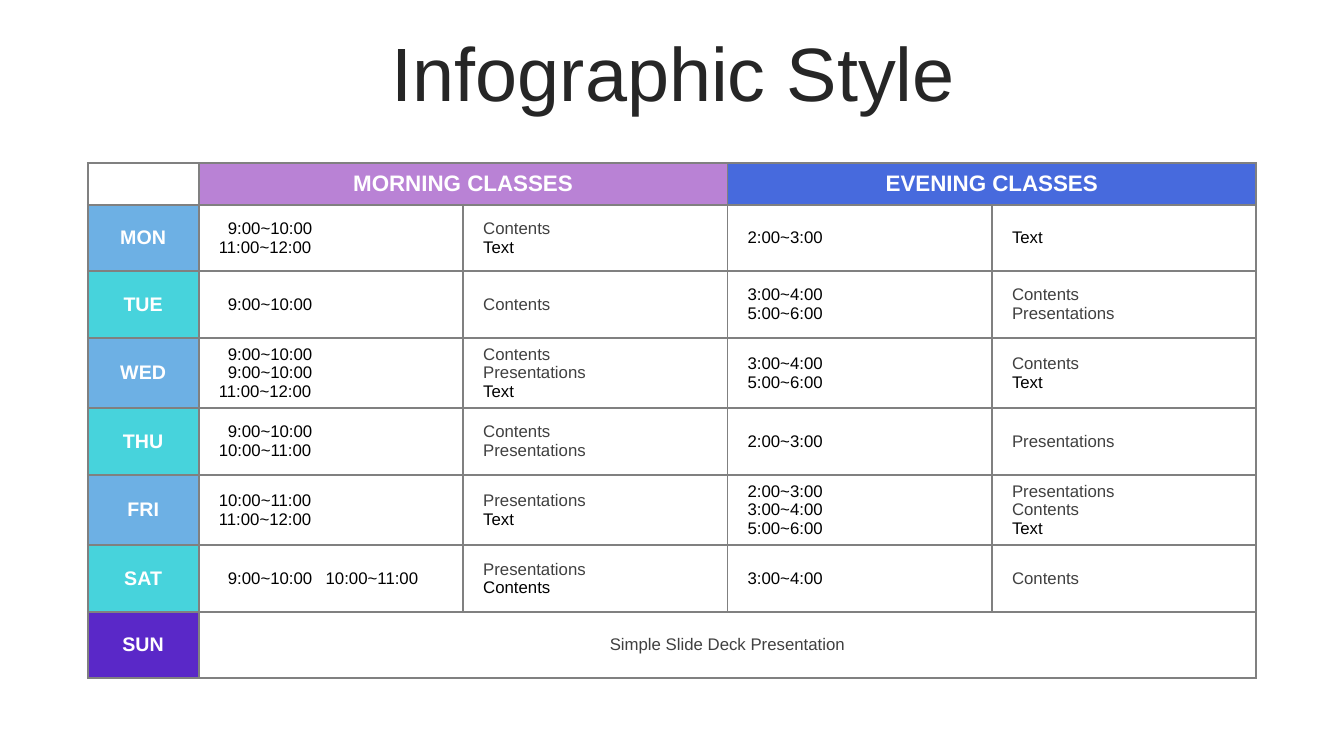
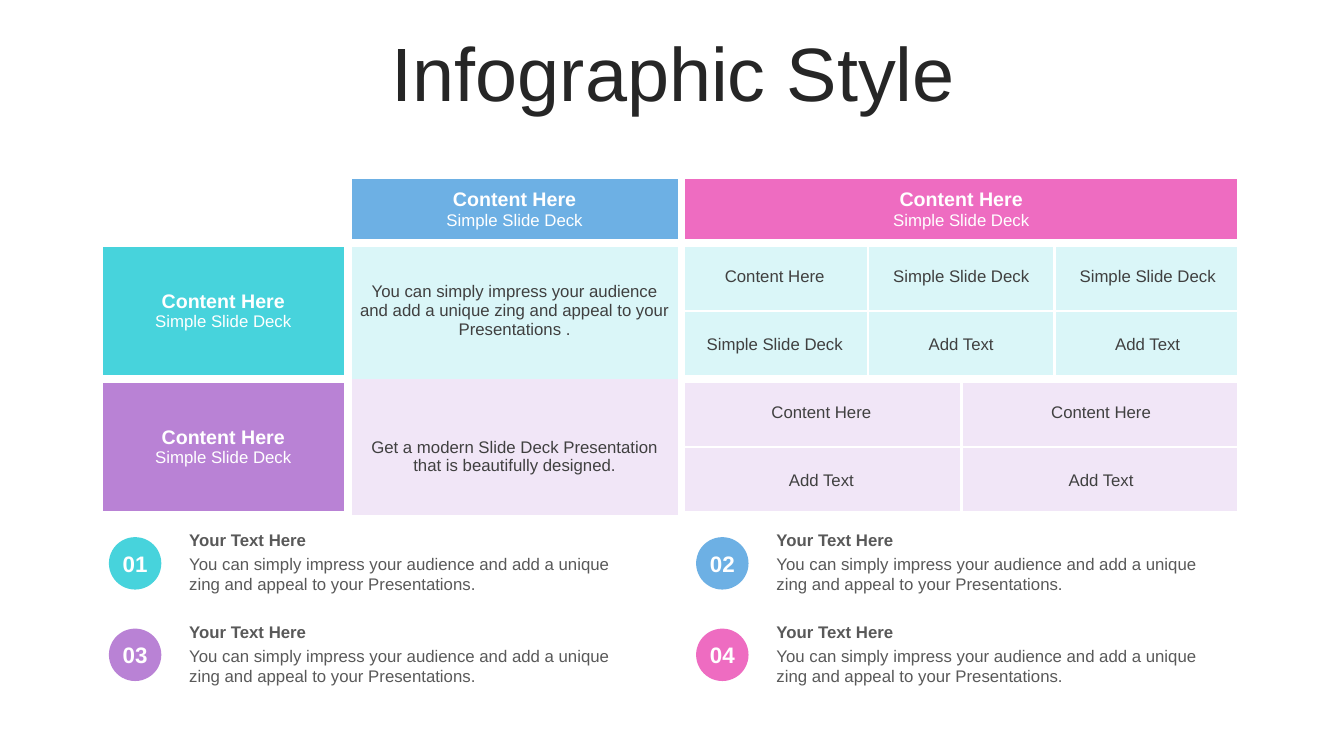
from dataclasses import dataclass
from itertools import product

from lxml import etree
from pptx import Presentation
from pptx.dml.color import RGBColor
from pptx.enum import shapes, text
from pptx.oxml import ns
from pptx import util as u

WHITE = RGBColor(0xFF, 0xFF, 0xFF)
BLACK = RGBColor(0x00, 0x00, 0x00)
INK = RGBColor(0x26, 0x26, 0x26)
DARK = RGBColor(0x40, 0x40, 0x40)
SLATE = RGBColor(0x59, 0x59, 0x59)
RULE = RGBColor(0x80, 0x80, 0x80)
SKY = RGBColor(0x6D, 0xB0, 0xE4)
TEAL = RGBColor(0x47, 0xD3, 0xDC)
LILAC = RGBColor(0xB9, 0x82, 0xD5)
PINK = RGBColor(0xEE, 0x6C, 0xC1)
BLUE = RGBColor(0x47, 0x6A, 0xDD)
VIOLET = RGBColor(0x5A, 0x28, 0xC8)
PALE_TEAL = RGBColor(0xDA, 0xF6, 0xF8)
PALE_LILAC = RGBColor(0xF1, 0xE6, 0xF7)

LEFT, CENTER = text.PP_ALIGN.LEFT, text.PP_ALIGN.CENTER
MIDDLE, TOP = text.MSO_ANCHOR.MIDDLE, text.MSO_ANCHOR.TOP
TAB_STOPS = (0.09, 1.06)
THICK, THIN = 6, 2.25


def style(size, color, bold=False):
    return {"name": "Arial", "size": u.Pt(size), "bold": bold, "color": color}


TITLE = style(54, INK)
BAND = style(16, WHITE, True)
LABEL = style(14, WHITE, True)
SUBLABEL = style(12, WHITE)
PLAIN = style(12, BLACK)
TOPIC = style(12, DARK)
CARD_HEAD = style(12, SLATE, True)
CARD_BODY = style(12, SLATE)


@dataclass
class Box:
    left: float
    top: float
    width: float
    height: float

    def portion(self, x, y, width, height):
        return Box(self.left + x * self.width, self.top + y * self.height,
                   width * self.width, height * self.height)

    def emu(self):
        return [u.Inches(v) for v in (self.left, self.top, self.width, self.height)]


def add_tab_stops(para):
    stops = etree.SubElement(para._p.get_or_add_pPr(), ns.qn("a:tabLst"))
    for position in TAB_STOPS:
        etree.SubElement(stops, ns.qn("a:tab"), pos=str(u.Inches(position)), algn="l")


def write_lines(frame, lines, align=LEFT):
    for index, (words, look) in enumerate(lines):
        para = frame.paragraphs[0] if index == 0 else frame.add_paragraph()
        para.alignment = align
        if "\t" in words:
            add_tab_stops(para)
        span = para.add_run()
        span.text = words
        for name, value in look.items():
            if name == "color":
                span.font.color.rgb = value
            else:
                setattr(span.font, name, value)


def add_text(page, box, lines, align=LEFT, anchor=TOP):
    frame = page.shapes.add_textbox(*box.emu()).text_frame
    frame.word_wrap = True
    frame.vertical_anchor = anchor
    write_lines(frame, lines, align)
    return frame


def add_title(page, words):
    frame = add_text(page, Box(0.35, 0.37, 12.66, 0.79), [(words, TITLE)], CENTER, MIDDLE)
    frame.paragraphs[0].line_spacing = 0.9


def add_grid(page, box, columns, rows):
    table = page.shapes.add_table(len(rows), len(columns), *box.emu()).table
    table.first_row = table.horz_banding = False
    for column, width in zip(table.columns, columns):
        column.width = u.Inches(width)
    for row, height in zip(table.rows, rows):
        row.height = u.Inches(height)
    return table


def set_borders(cell, color, widths):
    properties = cell._tc.get_or_add_tcPr()
    for index, (side, width) in enumerate(zip("LRTB", widths)):
        line = etree.Element(ns.qn("a:ln" + side), w=str(u.Pt(width)))
        if width:
            fill = etree.SubElement(line, ns.qn("a:solidFill"))
            etree.SubElement(fill, ns.qn("a:srgbClr"), val=str(color))
        else:
            etree.SubElement(line, ns.qn("a:noFill"))
        properties.insert(index, line)


def fill_cell(table, row, column, lines, fill=None, span=(1, 1), align=CENTER,
              margins=(0.1, 0.05), border=(RULE, (1.5,) * 4)):
    cell = table.cell(row, column)
    last_row, last_column = row + span[0] - 1, column + span[1] - 1
    if span != (1, 1):
        cell.merge(table.cell(last_row, last_column))
    for r, c in product(range(row, last_row + 1), range(column, last_column + 1)):
        member = table.cell(r, c)
        if fill is None:
            member.fill.background()
        else:
            member.fill.solid()
            member.fill.fore_color.rgb = fill
        set_borders(member, *border)
    cell.vertical_anchor = MIDDLE
    cell.margin_left = cell.margin_right = u.Inches(margins[0])
    cell.margin_top = cell.margin_bottom = u.Inches(margins[1])
    write_lines(cell.text_frame, lines, align)
    return cell


def times(*hours):
    return [(hour, PLAIN) for hour in hours]


def topics(*names, closing=None):
    return [(name, TOPIC) for name in names] + ([(closing, PLAIN)] if closing else [])


WEEK = {
    "MON": (times("\t9:00~10:00", "11:00~12:00"), topics("Contents", closing="Text"),
            times("2:00~3:00"), topics(closing="Text")),
    "TUE": (times("\t9:00~10:00"), topics("Contents"),
            times("3:00~4:00", "5:00~6:00"), topics("Contents", "Presentations")),
    "WED": (times("\t9:00~10:00", "\t9:00~10:00", "11:00~12:00"),
            topics("Contents", "Presentations", closing="Text"),
            times("3:00~4:00", "5:00~6:00"), topics("Contents", closing="Text")),
    "THU": (times("\t9:00~10:00", "10:00~11:00"), topics("Contents", "Presentations"),
            times("2:00~3:00"), topics("Presentations")),
    "FRI": (times("10:00~11:00", "11:00~12:00"), topics("Presentations", closing="Text"),
            times("2:00~3:00", "3:00~4:00", "5:00~6:00"),
            topics("Presentations", "Contents", closing="Text")),
    "SAT": (times("\t9:00~10:00\t10:00~11:00"), topics("Presentations", closing="Contents"),
            times("3:00~4:00"), topics("Contents")),
}


def add_timetable(page, box):
    day_width, head_height = 1.1, 0.41
    columns = [day_width] + [(box.width - day_width) / 4] * 4
    rows = [head_height] + [(box.height - head_height) / 7] * 7
    table = add_grid(page, box, columns, rows)
    fill_cell(table, 0, 0, [])
    fill_cell(table, 0, 1, [("MORNING CLASSES", BAND)], LILAC, (1, 2))
    fill_cell(table, 0, 3, [("EVENING CLASSES", BAND)], BLUE, (1, 2))
    for row, (day, entries) in enumerate(WEEK.items(), 1):
        fill_cell(table, row, 0, [(day, LABEL)], SKY if row % 2 else TEAL, margins=(0, 0))
        for column, lines in enumerate(entries, 1):
            fill_cell(table, row, column, lines, align=LEFT, margins=(0.2, 0.05))
    fill_cell(table, 7, 0, [("SUN", LABEL)], VIOLET)
    fill_cell(table, 7, 1, topics("Simple Slide Deck Presentation"), span=(1, 4))


CONTENT, SIMPLE, ADD = "Content Here", "Simple Slide Deck", "Add Text"
HEADING = [(CONTENT, LABEL), (SIMPLE, SUBLABEL)]
DETAILS = (
    (1, (2, 3, 5), PALE_TEAL, (CONTENT, SIMPLE, SIMPLE)),
    (2, (2, 3, 5), PALE_TEAL, (SIMPLE, ADD, ADD)),
    (3, (2, 4), PALE_LILAC, (CONTENT, CONTENT)),
    (4, (2, 4), PALE_LILAC, (ADD, ADD)),
)


def add_matrix(page, box):
    label_width, summary_width, head_height = 2.47, 3.31, 0.67
    unit = (box.width - label_width - summary_width) / 6
    columns = [label_width, summary_width, 2 * unit, unit, unit, 2 * unit]
    rows = [head_height] + [(box.height - head_height) / 4] * 4
    table = add_grid(page, box, columns, rows)
    frame = (WHITE, (THICK,) * 4)
    fill_cell(table, 0, 0, [], border=frame)
    for row, column, fill, span in ((0, 1, SKY, (1, 1)), (0, 2, PINK, (1, 4)),
                                    (1, 0, TEAL, (2, 1)), (3, 0, LILAC, (2, 1))):
        fill_cell(table, row, column, HEADING, fill, span, border=frame)
    fill_cell(table, 1, 1, topics("You can simply impress your audience and add a unique "
                                  "zing and appeal to your Presentations ."),
              PALE_TEAL, (2, 1), border=(WHITE, (THICK, THICK, THICK, 0)))
    design = fill_cell(table, 3, 1, topics("Get a modern Slide Deck Presentation that is "
                                           "beautifully designed."),
                       PALE_LILAC, (2, 1), border=(WHITE, (THICK, THICK, 0, 0)))
    design.margin_top = u.Inches(0.24)
    for row, starts, fill, words in DETAILS:
        for column, end, word in zip(starts, starts[1:] + (6,), words):
            edges = (column == 2, end == 6, row % 2 == 1, row % 2 == 0)
            widths = [THICK if edge else THIN for edge in edges]
            fill_cell(table, row, column, topics(word), fill, (1, end - column),
                      border=(WHITE, widths))


def add_card(page, box, number, color):
    diameter = 0.52
    circle = page.shapes.add_shape(
        shapes.MSO_SHAPE.OVAL,
        *Box(box.left, box.top + 0.16 * box.height, diameter, diameter).emu())
    circle.shadow.inherit = False
    circle.fill.solid()
    circle.fill.fore_color.rgb = color
    circle.line.fill.background()
    frame = circle.text_frame
    for name in ("margin_left", "margin_right", "margin_top", "margin_bottom"):
        setattr(frame, name, 0)
    frame.vertical_anchor = MIDDLE
    write_lines(frame, [(f"{number:02}", BAND)], CENTER)
    add_text(page, box.portion(0.13, 0, 0.87, 0.4), [("Your Text Here", CARD_HEAD)])
    add_text(page, box.portion(0.13, 0.32, 0.87, 0.68),
             [("You can simply impress your audience and add a unique zing and appeal "
               "to your Presentations.", CARD_BODY)])


def add_cards(page, box):
    for index, color in enumerate((TEAL, SKY, LILAC, PINK)):
        row, column = divmod(index, 2)
        add_card(page, box.portion(column * 0.52, row * 0.55, 0.48, 0.45), index + 1, color)


def main():
    deck = Presentation()
    deck.slide_width, deck.slide_height = u.Inches(13.33), u.Inches(7.5)
    timetable, matrix = (deck.slides.add_slide(deck.slide_layouts[6]) for _ in range(2))
    for page in (timetable, matrix):
        add_title(page, "Infographic Style")
    add_timetable(timetable, Box(0.87, 1.62, 11.59, 5.03))
    add_matrix(matrix, Box(0.98, 1.74, 11.33, 3.37))
    add_cards(matrix, Box(1.08, 5.21, 11.2, 1.65))
    deck.save("out.pptx")


if __name__ == "__main__":
    main()
